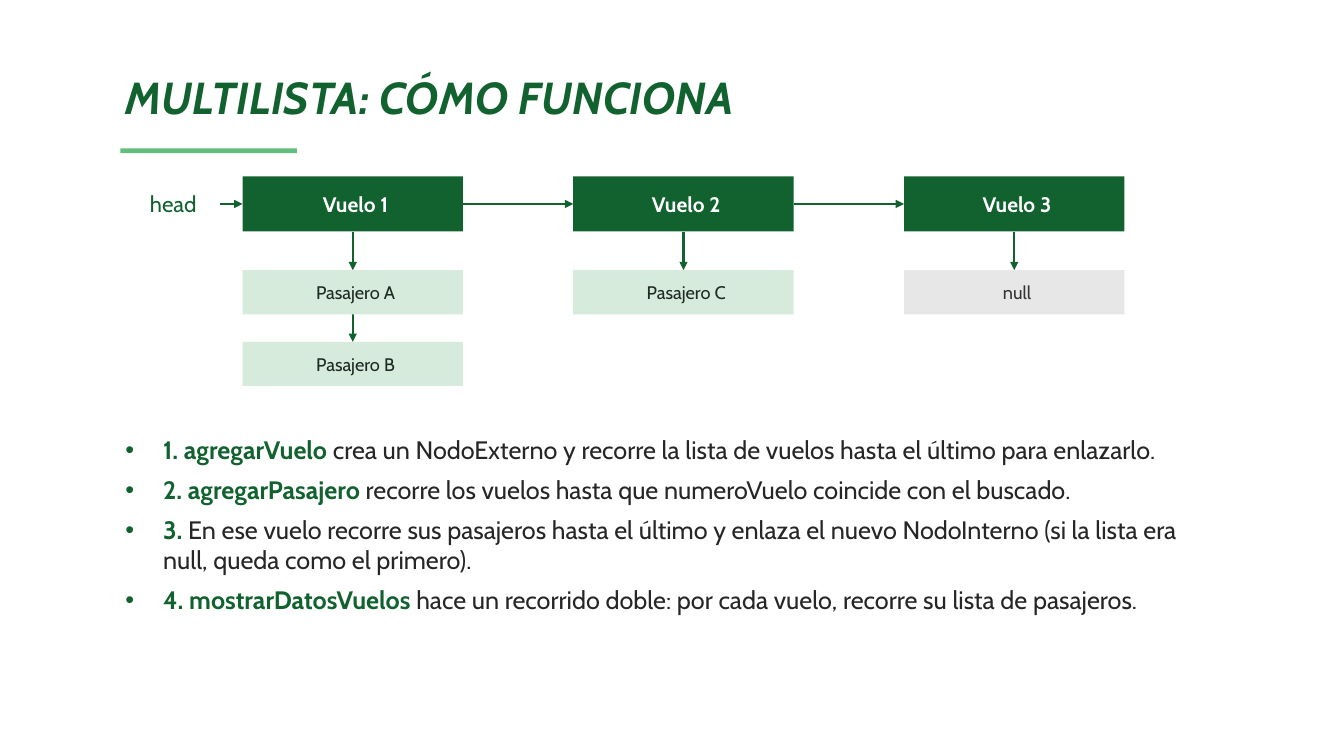
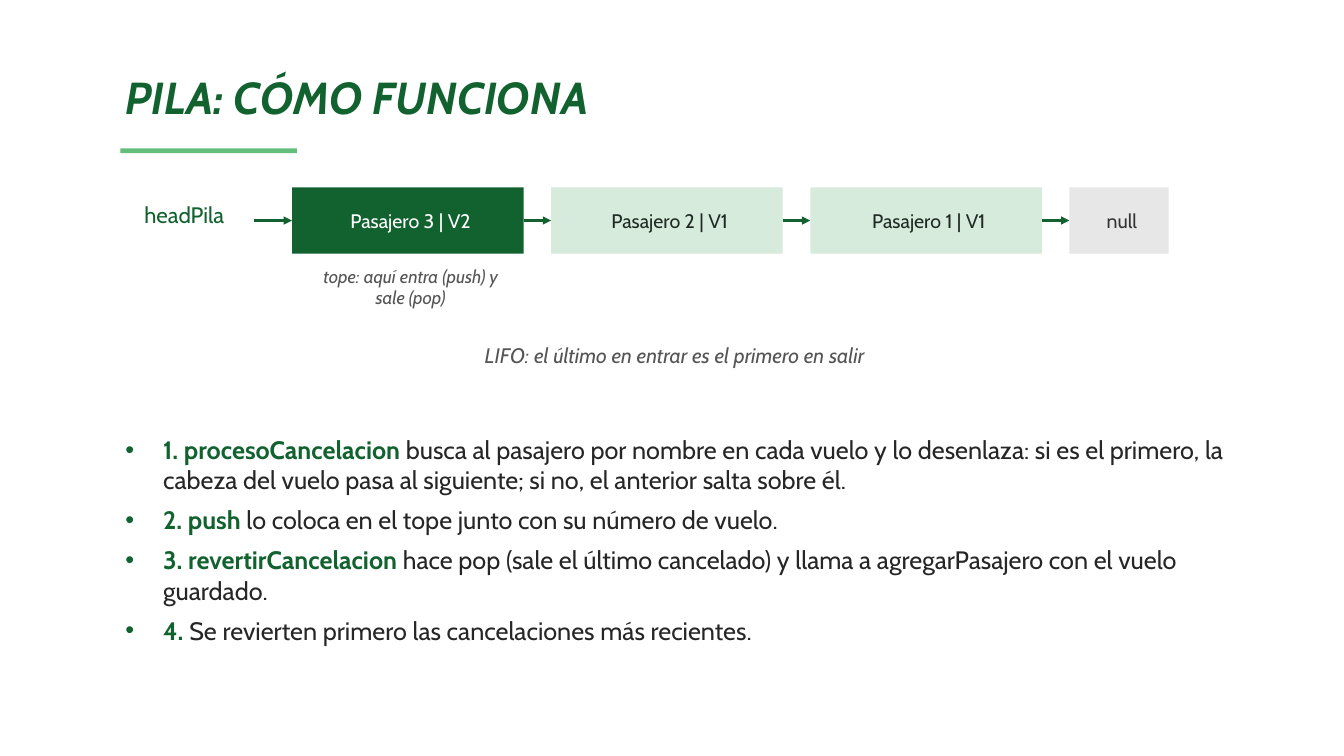
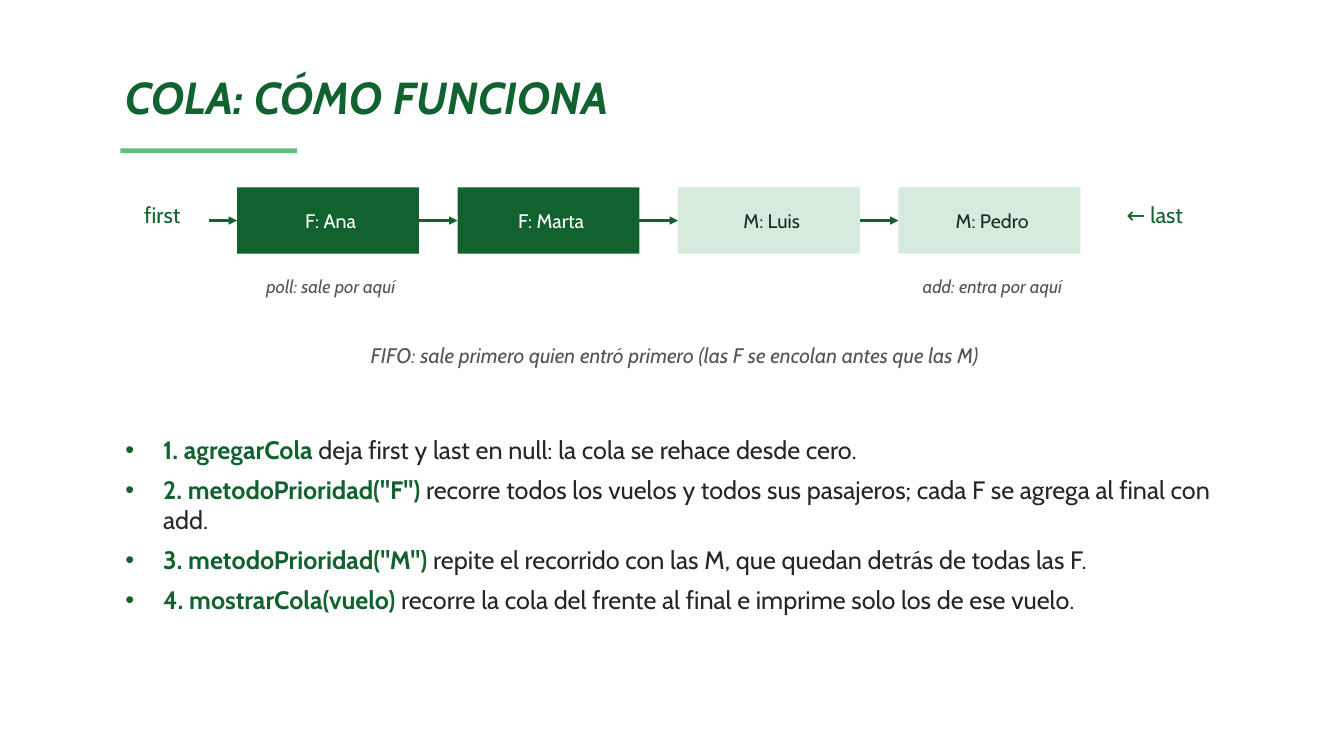
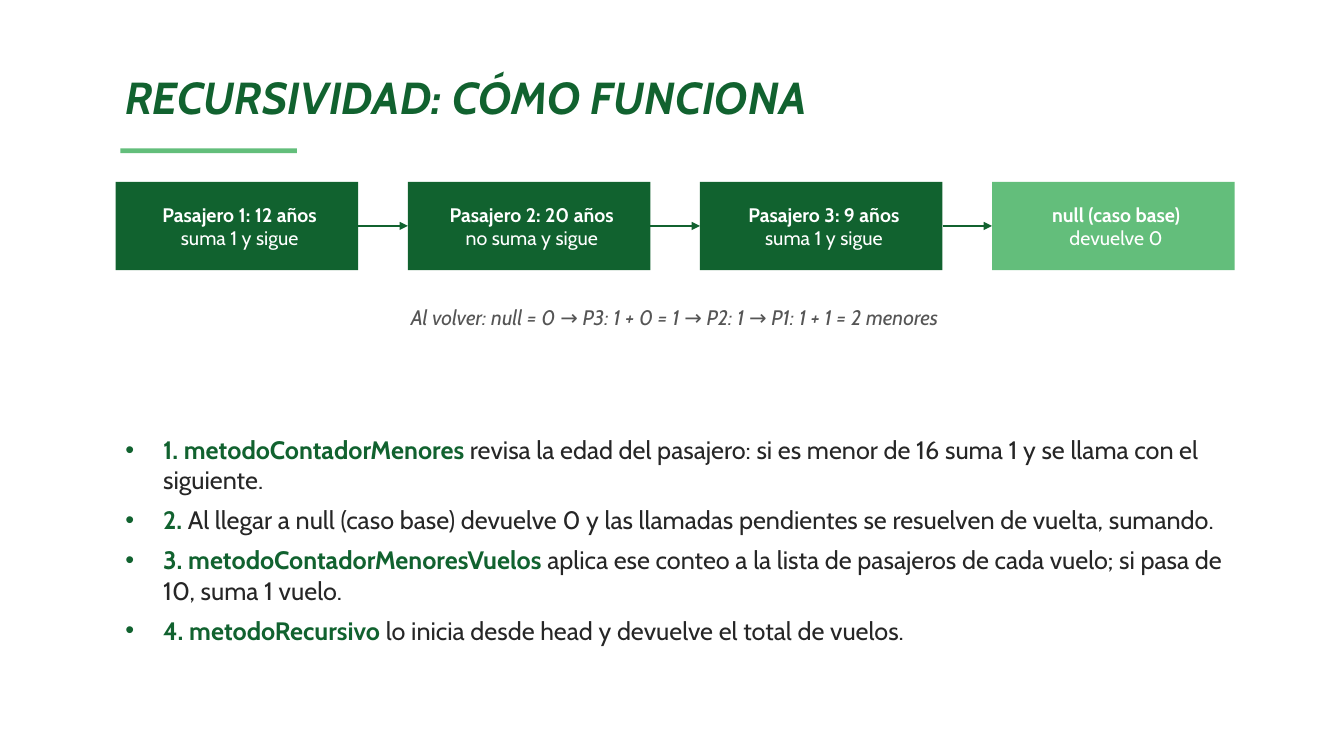
"""Build four slides on how lists, stacks, queues and recursion work."""
from lxml import etree
from pptx import Presentation
from pptx.dml.color import RGBColor as RGB
from pptx.enum.shapes import MSO_CONNECTOR as LINK, MSO_SHAPE as SHAPE
from pptx.enum.text import MSO_ANCHOR as ANCHOR, MSO_AUTO_SIZE as AUTO, PP_ALIGN as ALIGN
from pptx.oxml.ns import qn
from pptx.util import Pt

FONT = "Cabin"
HUES = {"green": "11622F", "mint": "63BE7B", "pale": "D6EBDC", "gray": "E7E7E7",
        "ink": "1F2A24", "dark": "333333", "mute": "555555", "text": "262626", "white": "FFFFFF"}
TONES = {"main": ("green", "white"), "base": ("mint", "white"), "soft": ("pale", "ink"),
         "null": ("gray", "dark"), "label": (None, "green"), "note": (None, "mute")}
LEFT, WIDE = 78.5, 803

DECK = [
    {"title": "MULTILISTA: CÓMO FUNCIONA",
     "row": (173.25, 126, 39.4, 236.25), "size": 15, "bold": True, "lead": 157.5,
     "nodes": [("Vuelo 1", "main", 157.5), ("Vuelo 2", "main", 157.5), ("Vuelo 3", "main", 157.5)],
     "kids": [[("Pasajero A", "soft"), ("Pasajero B", "soft")], [("Pasajero C", "soft")], [("null", "null")]],
     "texts": [("head", "label", 16, LEFT, 126, 86.6, 39.4)],
     "points": [
         ("1. agregarVuelo", "crea un NodoExterno y recorre la lista de vuelos hasta el último para enlazarlo."),
         ("2. agregarPasajero", "recorre los vuelos hasta que numeroVuelo coincide con el buscado."),
         ("3.", "En ese vuelo recorre sus pasajeros hasta el último y enlaza el nuevo NodoInterno "
                "(si la lista era null, queda como el primero)."),
         ("4. mostrarDatosVuelos", "hace un recorrido doble: por cada vuelo, recorre su lista de pasajeros.")]},
    {"title": "PILA: CÓMO FUNCIONA",
     "row": (208.6, 133.9, 47.25, 185.1), "size": 14, "bold": False, "lead": 181.1,
     "nodes": [("Pasajero 3 | V2", "main", 165.4), ("Pasajero 2 | V1", "soft", 165.4),
               ("Pasajero 1 | V1", "soft", 165.4), ("null", "null", 70.9)],
     "kids": [],
     "texts": [("headPila", "label", 16, LEFT, 129.9, 102.4, 47.25),
               ("tope: aquí entra (push) y sale (pop)", "note", 13, 208.6, 189, 165.4, 31.5),
               ("LIFO: el último en entrar es el primero en salir", "note", 15, LEFT, 236.25, WIDE, 35.4)],
     "points": [
         ("1. procesoCancelacion", "busca al pasajero por nombre en cada vuelo y lo desenlaza: si es el primero, "
                                   "la cabeza del vuelo pasa al siguiente; si no, el anterior salta sobre él."),
         ("2. push", "lo coloca en el tope junto con su número de vuelo."),
         ("3. revertirCancelacion", "hace pop (sale el último cancelado) y llama a agregarPasajero "
                                    "con el vuelo guardado."),
         ("4.", "Se revierten primero las cancelaciones más recientes.")]},
    {"title": "COLA: CÓMO FUNCIONA",
     "row": (169.3, 133.9, 47.25, 157.5), "size": 14, "bold": False, "lead": 149.6,
     "nodes": [("F: Ana", "main", 129.9), ("F: Marta", "main", 129.9),
               ("M: Luis", "soft", 129.9), ("M: Pedro", "soft", 129.9)],
     "kids": [],
     "texts": [("first", "label", 16, LEFT, 129.9, 70.9, 47.25),
               ("← last", "label", 16, 771.75, 129.9, 102.4, 47.25),
               ("poll: sale por aquí", "note", 13, 169.3, 189, 129.9, 31.5),
               ("add: entra por aquí", "note", 13, 641.8, 189, 129.9, 31.5),
               ("FIFO: sale primero quien entró primero (las F se encolan antes que las M)",
                "note", 15, LEFT, 236.25, WIDE, 35.4)],
     "points": [
         ("1. agregarCola", "deja first y last en null: la cola se rehace desde cero."),
         ("2. metodoPrioridad(\"F\")", "recorre todos los vuelos y todos sus pasajeros; "
                                       "cada F se agrega al final con add."),
         ("3. metodoPrioridad(\"M\")", "repite el recorrido con las M, que quedan detrás de todas las F."),
         ("4. mostrarCola(vuelo)", "recorre la cola del frente al final e imprime solo los de ese vuelo.")]},
    {"title": "RECURSIVIDAD: CÓMO FUNCIONA",
     "row": (82.7, 129.9, 63, 208.65), "size": 14, "bold": True, "lead": None,
     "nodes": [("Pasajero 1: 12 años\nsuma 1 y sigue", "main", 173.25),
               ("Pasajero 2: 20 años\nno suma y sigue", "main", 173.25),
               ("Pasajero 3: 9 años\nsuma 1 y sigue", "main", 173.25),
               ("null (caso base)\ndevuelve 0", "base", 173.25)],
     "kids": [],
     "texts": [("Al volver: null = 0 → P3: 1 + 0 = 1 → P2: 1 → P1: 1 + 1 = 2 menores",
                "note", 15, LEFT, 208.7, WIDE, 35.4)],
     "points": [
         ("1. metodoContadorMenores", "revisa la edad del pasajero: si es menor de 16 suma 1 "
                                      "y se llama con el siguiente."),
         ("2.", "Al llegar a null (caso base) devuelve 0 y las llamadas pendientes "
                "se resuelven de vuelta, sumando."),
         ("3. metodoContadorMenoresVuelos", "aplica ese conteo a la lista de pasajeros de cada vuelo; "
                                            "si pasa de 10, suma 1 vuelo."),
         ("4. metodoRecursivo", "lo inicia desde head y devuelve el total de vuelos.")]},
]


def write(shape, text, size, hue, bold=False, italic=False, align=ALIGN.CENTER):
    """Fill a shape with text, one paragraph per line."""
    frame = shape.text_frame
    frame.text = text
    frame.word_wrap = True
    frame.auto_size = AUTO.NONE
    frame.vertical_anchor = ANCHOR.MIDDLE
    frame.margin_left = Pt(11)
    frame.margin_right = frame.margin_top = frame.margin_bottom = Pt(7.2)
    for para in frame.paragraphs:
        para.alignment = align
        font = para.font
        font.name, font.size, font.bold, font.italic = FONT, Pt(size), bold, italic
        font.color.rgb = RGB.from_string(HUES[hue])
    return frame


def arrow(slide, x1, y1, x2, y2):
    """Draw a green arrow between two points."""
    link = slide.shapes.add_connector(LINK.STRAIGHT, Pt(x1), Pt(y1), Pt(x2), Pt(y2))
    link.line.width = Pt(1.75)
    link.line.color.rgb = RGB.from_string(HUES["green"])
    etree.SubElement(link.line._get_or_add_ln(), qn("a:tailEnd"), type="triangle")
    etree.SubElement(link._element.spPr, qn("a:effectLst"))


deck = Presentation()
deck.slide_width, deck.slide_height = Pt(960), Pt(540)
layout = deck.slide_layouts[1]
for holder, top, tall in zip(layout.placeholders, (37.4, 303), (63, 153.5)):
    holder.left, holder.top, holder.width, holder.height = Pt(LEFT), Pt(top), Pt(WIDE), Pt(tall)

for page in DECK:
    slide = deck.slides.add_slide(layout)
    title, body = slide.placeholders
    write(title, page["title"], 32, "green", True, True, ALIGN.LEFT)
    bar = slide.shapes.add_shape(SHAPE.RECTANGLE, Pt(86), Pt(106), Pt(126), Pt(3.5))
    bar.shadow.inherit = False
    bar.fill.solid()
    bar.fill.fore_color.rgb = RGB.from_string(HUES["mint"])
    bar.line.fill.background()

    left, top, tall, pitch = page["row"]
    mid = top + tall / 2
    boxes = list(page["texts"])
    end = page["lead"]
    for i, (text, tone, wide) in enumerate(page["nodes"]):
        x = left + i * pitch
        boxes.append((text, tone, page["size"], x, top, wide, tall))
        if end is not None:
            arrow(slide, end, mid, x, mid)
        end = x + wide
    for i, kids in enumerate(page["kids"]):
        x, wide = left + i * pitch, page["nodes"][i][2]
        base = top + tall
        for j, (text, tone) in enumerate(kids):
            y = 193 + j * 51.2
            boxes.append((text, tone, 13, x, y, wide, 31.5))
            arrow(slide, x + wide / 2, base, x + wide / 2, y)
            base = y + 31.5

    for text, tone, size, *area in boxes:
        fill, ink = TONES[tone]
        spot = [Pt(n) for n in area]
        if fill:
            box = slide.shapes.add_shape(SHAPE.RECTANGLE, *spot)
            box.shadow.inherit = False
            box.fill.solid()
            box.fill.fore_color.rgb = RGB.from_string(HUES[fill])
            box.line.fill.background()
        else:
            box = slide.shapes.add_textbox(*spot)
        bold = page["bold"] and tone in ("main", "base")
        frame = write(box, text, size, ink, bold, tone == "note")
        for para in frame.paragraphs[1:]:
            para.font.bold = False

    heads = "\n".join(head + " " for head, rest in page["points"])
    frame = write(body, heads, 18, "text", align=ALIGN.LEFT)
    frame.vertical_anchor = ANCHOR.TOP
    for para, (head, rest) in zip(frame.paragraphs, page["points"]):
        lead = para.runs[0].font
        lead.bold = True
        lead.color.rgb = RGB.from_string(HUES["green"])
        para.add_run().text = rest
        para.space_before, para.space_after = Pt(0), Pt(7)
        props = para._p.get_or_add_pPr()
        props.set("marL", str(Pt(27)))
        props.set("indent", str(Pt(-27)))
        tint = etree.Element(qn("a:buClr"))
        etree.SubElement(tint, qn("a:srgbClr"), val=HUES["green"])
        mark = etree.Element(qn("a:buChar"), char="•")
        for item in (tint, mark):
            props.find(qn("a:defRPr")).addprevious(item)

deck.save("out.pptx")
